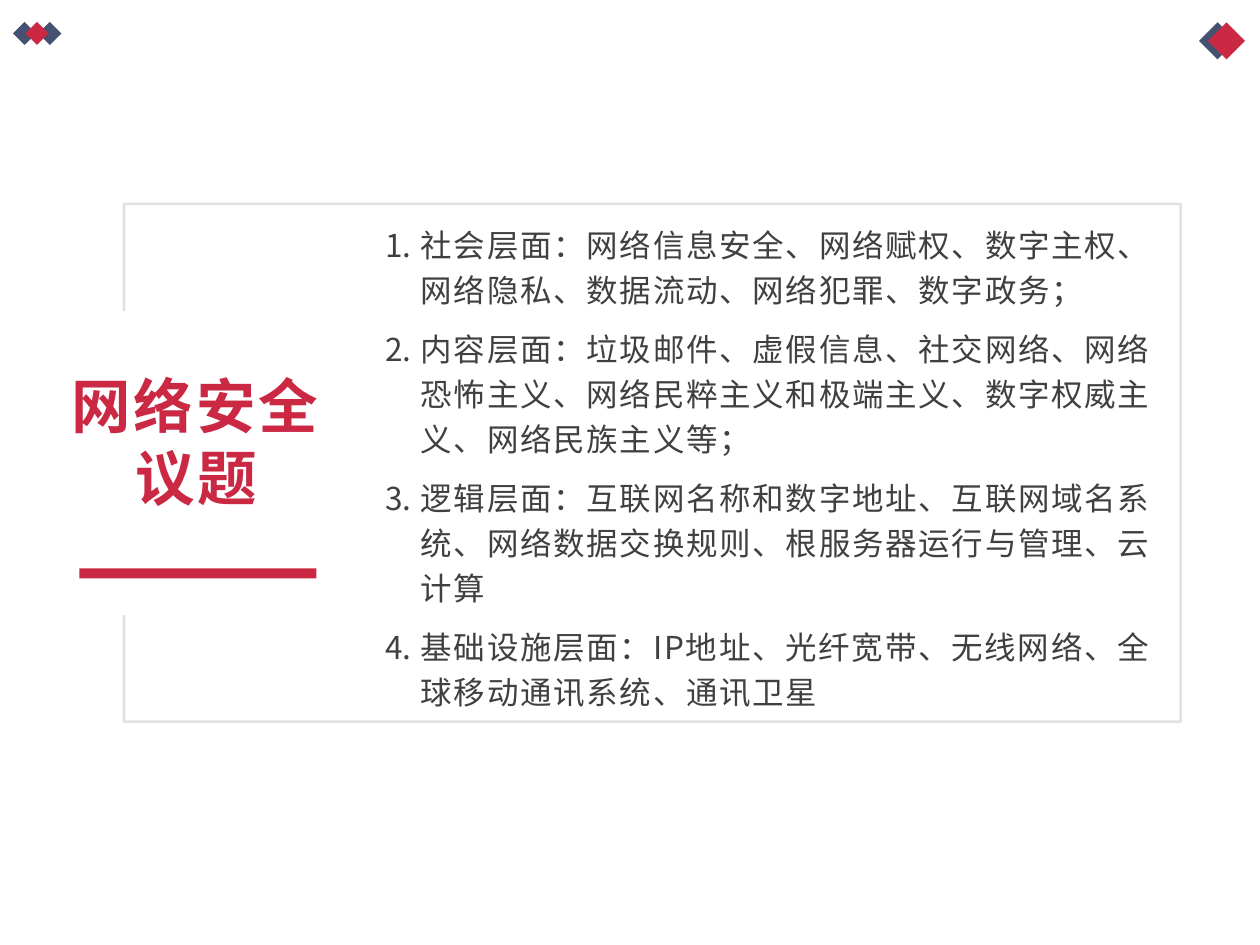
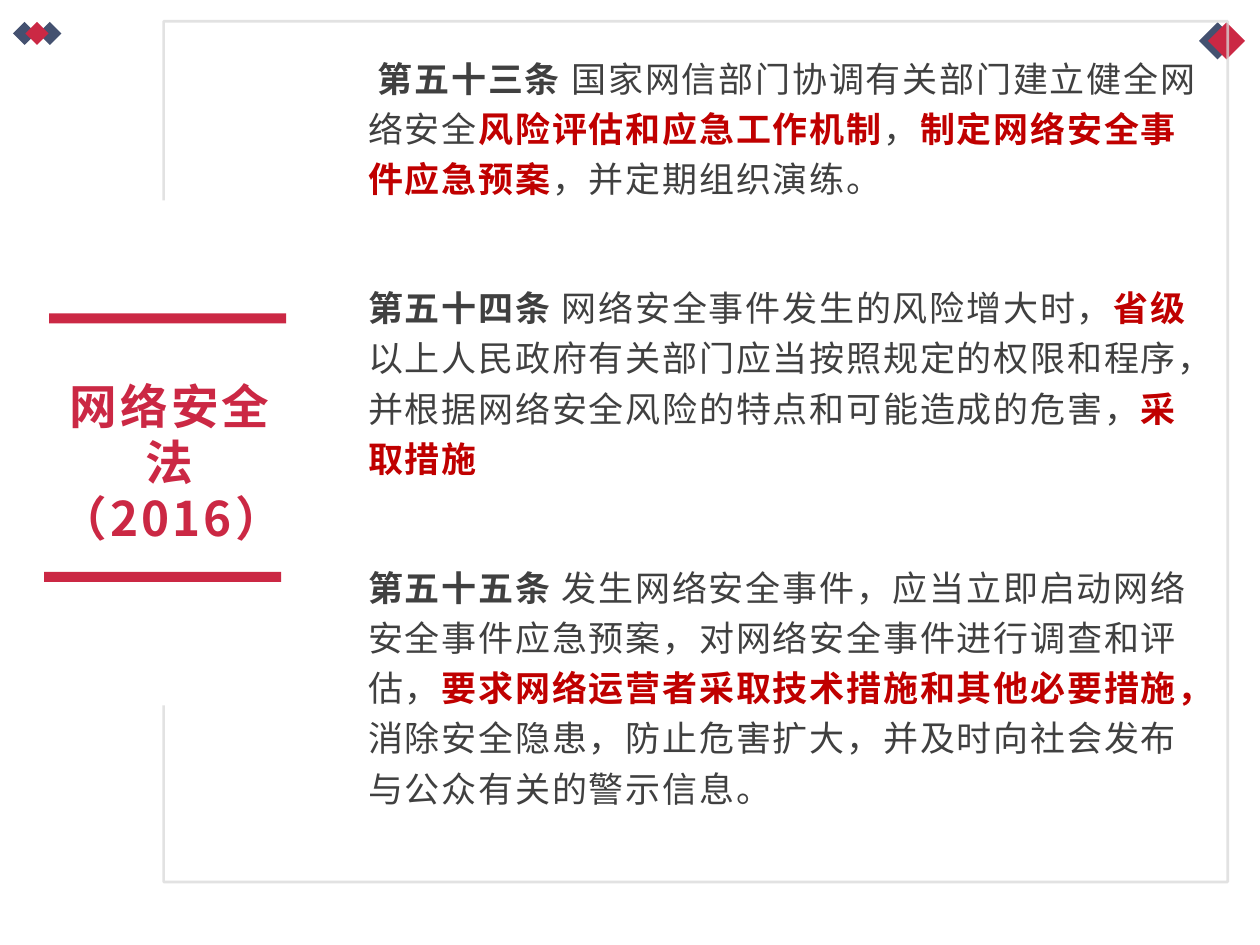
from lxml import etree
from pptx import Presentation
from pptx.dml.color import RGBColor
from pptx.enum.shapes import MSO_SHAPE
from pptx.enum.text import MSO_ANCHOR, PP_ALIGN
from pptx.oxml.ns import qn
from pptx.util import Cm, Pt

RECTANGLE = MSO_SHAPE.RECTANGLE
MIDDLE = MSO_ANCHOR.MIDDLE
CENTER = PP_ALIGN.CENTER

FONT = "Noto Sans CJK SC"
RED, NAVY, GRAY, DARK, ALERT = "CB2844", "445170", "D9D9D9", "404040", "C00000"

# left, top, side, colour of the corner diamonds
DIAMONDS = [
    (0.84, 0.51, 0.33, NAVY),
    (0.33, 0.51, 0.33, NAVY),
    (0.58, 0.51, 0.33, RED),
    (24.28, 0.56, 0.53, NAVY),
    (24.46, 0.56, 0.53, RED),
]

# Each run is (text, colour, bold)
ISSUES = [
    [("社会层面：网络信息安全、网络赋权、数字主权、网络隐私、数据流动、网络犯罪、数字政务；", DARK, False)],
    [("内容层面：垃圾邮件、虚假信息、社交网络、网络恐怖主义、网络民粹主义和极端主义、"
      "数字权威主义、网络民族主义等；", DARK, False)],
    [("逻辑层面：互联网名称和数字地址、互联网域名系统、网络数据交换规则、"
      "根服务器运行与管理、云计算", DARK, False)],
    [("基础设施层面：IP地址、光纤宽带、无线网络、全球移动通讯系统、通讯卫星", DARK, False)],
]
ARTICLES = [
    [(" 第五十三条 ", DARK, True),
     ("国家网信部门协调有关部门建立健全网络安全", DARK, False),
     ("风险评估和应急工作机制", ALERT, True),
     ("，", DARK, False),
     ("制定网络安全事件应急预案", ALERT, True),
     ("，并定期组织演练。", DARK, False)],
    [("第五十四条", DARK, True),
     (" 网络安全事件发生的风险增大时，", DARK, False),
     ("省级", ALERT, True),
     ("以上人民政府有关部门应当按照规定的权限和程序，"
      "并根据网络安全风险的特点和可能造成的危害，", DARK, False),
     ("采取措施", ALERT, True)],
    [("第五十五条", DARK, True),
     (" 发生网络安全事件，应当立即启动网络安全事件应急预案，"
      "对网络安全事件进行调查和评估，", DARK, False),
     ("要求网络运营者采取技术措施和其他必要措施，", ALERT, True),
     ("消除安全隐患，防止危害扩大，并及时向社会发布与公众有关的警示信息。", DARK, False)],
]

# frame: left, top, right, bottom, then where its left side breaks off and resumes
PAGES = [
    dict(frame=(2.5, 4.11, 23.8, 14.55, 6.27, 12.4),
         bars=[(1.6, 11.46)],
         title="网络安全议题", title_box=(1.27, 7.29, 5.38, 3.18), title_size=34, title_line=41,
         body=ISSUES, body_box=(6.88, 5.36, 16.89, 8.03), body_size=18, body_line=25.7,
         indent=(1.47, -0.71), numbered=True, gap=8),
    dict(frame=(3.3, 0.43, 24.75, 17.78, 4.04, 14.22),
         bars=[(0.89, 11.53), (0.99, 6.32)],
         title="网络安全法（2016）", title_box=(0.76, 7.72, 5.38, 3.18), title_size=27.2, title_line=32,
         body=ARTICLES, body_box=(6.5, 4.32, 18.08, 8.66), body_size=20, body_line=28.7,
         indent=(0.79, 0), numbered=False, gap=45),
]


def color(hex_string):
    return RGBColor.from_string(hex_string)


def add_text(page, place, paragraphs, size, line, spacing, gap=0):
    """Add a vertically centred text box; gap is the space between paragraphs in points."""
    box = page.shapes.add_textbox(*[Cm(length) for length in place])
    frame = box.text_frame
    frame.word_wrap = True
    frame.vertical_anchor = MIDDLE
    frame.margin_left = frame.margin_right = Cm(0.13)
    frame.margin_top = frame.margin_bottom = Cm(0.05)
    for index, runs in enumerate(paragraphs):
        para = frame.add_paragraph() if index else frame.paragraphs[0]
        para.line_spacing = Pt(line)
        para.space_before = Pt(gap if index else 0)
        for text, hex_string, bold in runs:
            span = para.add_run()
            span.text = text
            span.font.size = Pt(size)
            span.font.bold = bold
            span.font.color.rgb = color(hex_string)
            span.font.name = FONT
            properties = span.font._element
            properties.set("spc", str(int(spacing * 100)))
            etree.SubElement(properties, qn("a:ea"), typeface=FONT)
    return frame


deck = Presentation()
deck.slide_width, deck.slide_height = Cm(25.4), Cm(19.05)

for content in PAGES:
    page = deck.slides.add_slide(deck.slide_layouts[6])

    # Corner diamonds and title bars
    blocks = [(left, top, side, side, 45, fill) for left, top, side, fill in DIAMONDS]
    blocks += [(left, top, 4.78, 0.2, 0, RED) for left, top in content["bars"]]
    for left, top, width, height, angle, fill in blocks:
        block = page.shapes.add_shape(RECTANGLE, Cm(left), Cm(top), Cm(width), Cm(height))
        block.rotation = angle
        block.shadow.inherit = False
        block.fill.solid()
        block.fill.fore_color.rgb = color(fill)
        block.line.fill.background()

    # Open frame, broken on the left beside the title
    left, top, right, bottom, break_top, break_bottom = [Cm(length) for length in content["frame"]]
    builder = page.shapes.build_freeform(left, break_top)
    builder.add_line_segments(
        [(left, top), (right, top), (right, bottom), (left, bottom), (left, break_bottom)], close=False)
    outline = builder.convert_to_shape()
    outline.shadow.inherit = False
    outline.fill.background()
    outline.line.width = Pt(1.5)
    outline.line.color.rgb = color(GRAY)
    line_color = outline.line._ln.find(".//" + qn("a:srgbClr"))
    etree.SubElement(line_color, qn("a:alpha"), val="75000")

    title = add_text(page, content["title_box"], [[(content["title"], RED, True)]],
                     content["title_size"], content["title_line"], 1.8)
    title.paragraphs[0].alignment = CENTER

    body = add_text(page, content["body_box"], content["body"],
                    content["body_size"], content["body_line"], 1, content["gap"])
    margin, first_line = content["indent"]
    for para in body.paragraphs:
        properties = para._p.get_or_add_pPr()
        properties.set("marL", str(Cm(margin)))
        properties.set("indent", str(Cm(first_line)))
        if content["numbered"]:
            etree.SubElement(properties, qn("a:buFont"), typeface=FONT)
            etree.SubElement(properties, qn("a:buAutoNum"), type="arabicPeriod")

deck.save("out.pptx")
